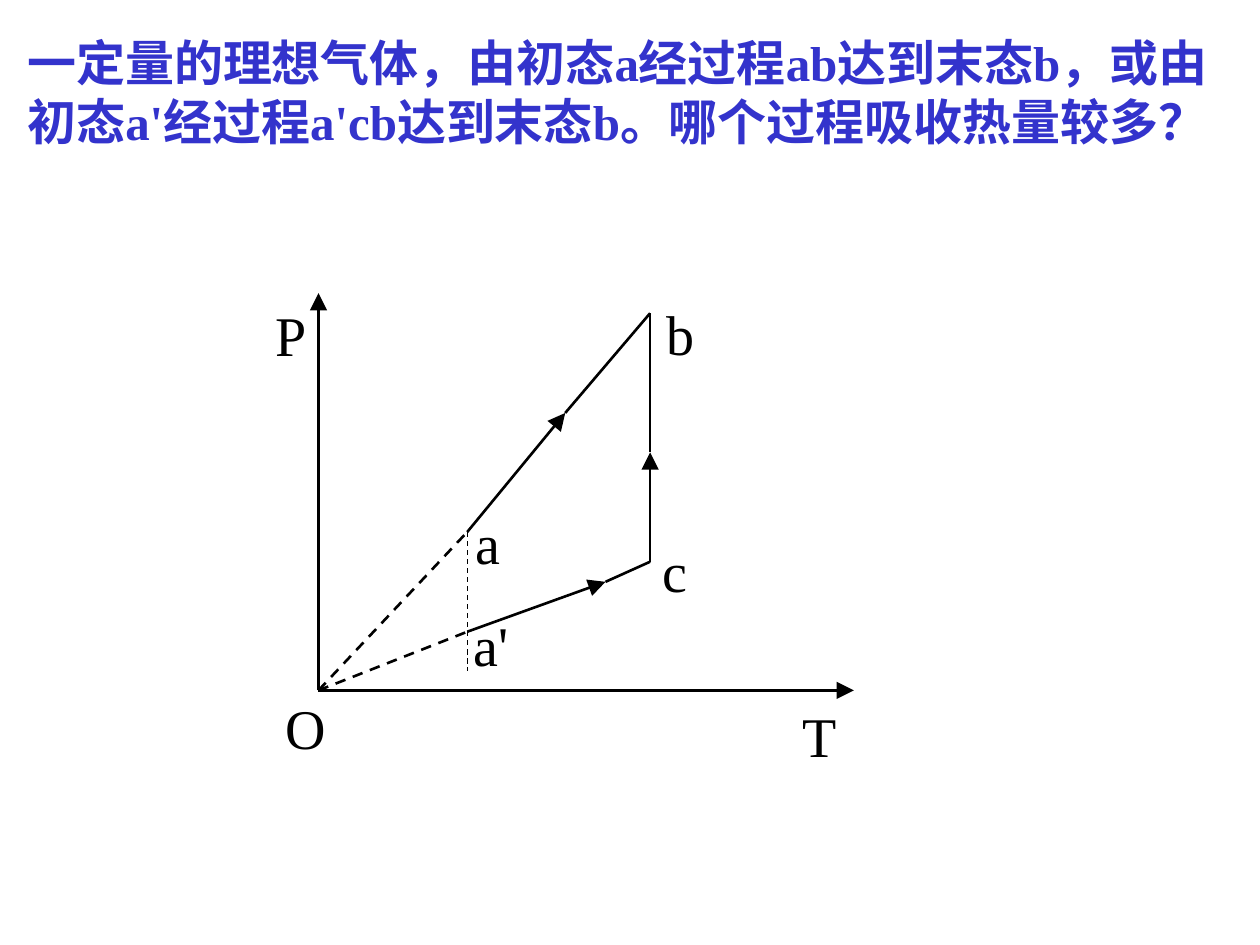
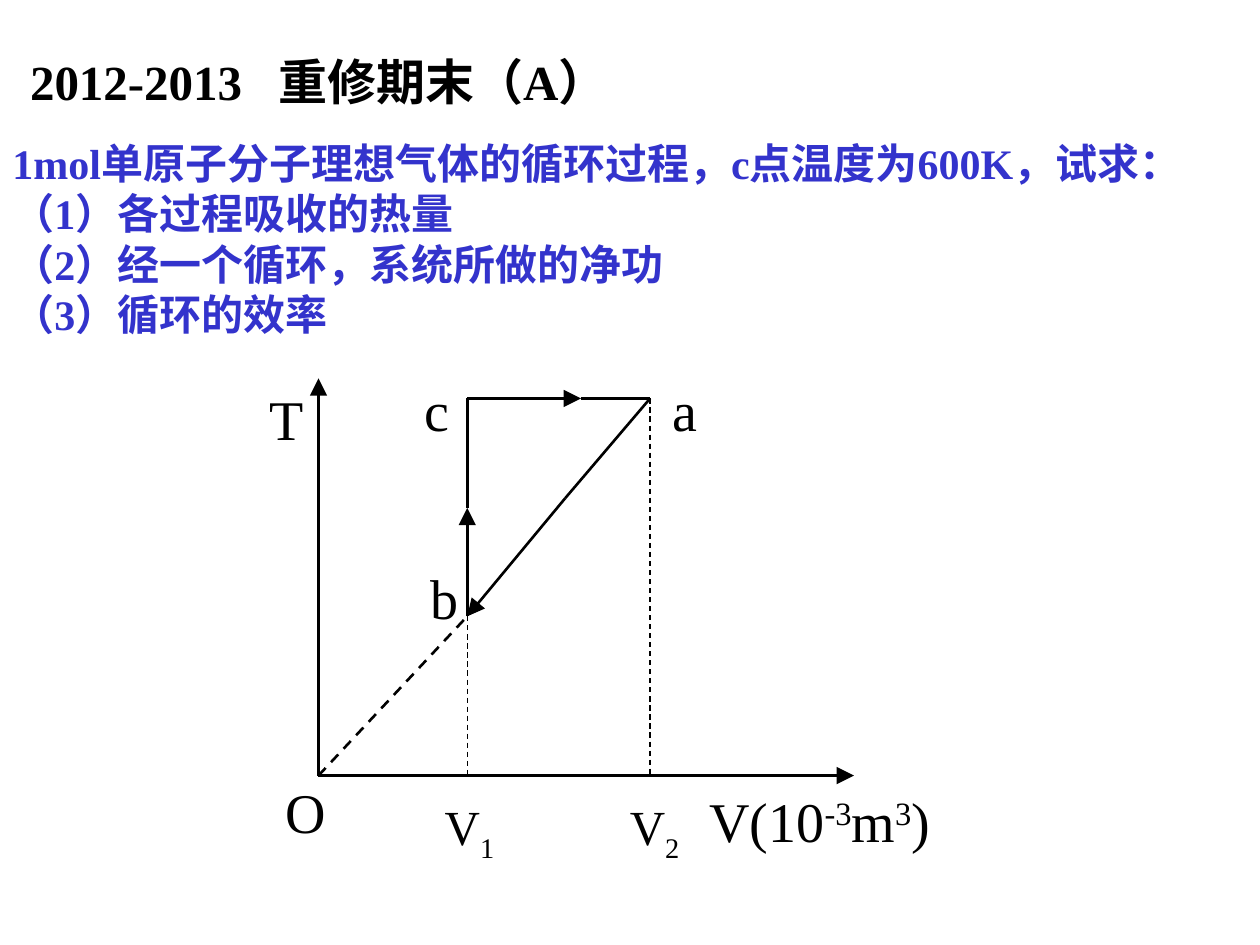
"""Builds two thermodynamics exercise slides, each with a process diagram."""
from lxml import etree
from pptx import Presentation
from pptx import util as u
from pptx.dml import color
from pptx.enum import dml, lang, shapes, text
from pptx.oxml import ns

COLORS = {"question": "3333CC", "ink": "000000"}
FONT = "Times New Roman"
ORIGIN_X = 182
SOLID, ARROW, DASH, THIN = "solid", "arrow", "dash", "thin dash"

SLIDES = [
    {
        "texts": [
            (8.6, 15.1, 692, 108,
             ["一定量的理想气体，由初态a经过程ab达到末态b，或由初态a'经过程a'cb达到末态b。哪个过程吸收热量较多？"],
             {"size": 28, "fill": "question", "bold": True, "wrap": True}),
        ],
        "origin_y": 394.5,
        "points": {
            "O": (0, 0), "T": (306, 0), "P": (0, 227),
            "a": (85, 90.5), "a'": (85, 33.5), "b": (189.5, 215.5), "c": (189.5, 73.5),
            "on ab": (141, 158.5), "on a'c": (164, 62), "on cb": (189.5, 136),
            "below a'": (85, 11),
        },
        "strokes": [
            ("O", "T", ARROW), ("O", "P", ARROW),
            ("a", "on ab", ARROW), ("on ab", "b", SOLID),
            ("a'", "on a'c", ARROW), ("on a'c", "c", SOLID),
            ("c", "on cb", ARROW), ("on cb", "b", SOLID),
            ("O", "a", DASH), ("O", "a'", DASH), ("a", "below a'", THIN),
        ],
        "labels": [
            (156.2, 392.8, 37.4, "O"), (451.4, 397.4, 33.8, "T"), (150, 168.2, 32.4, "P"),
            (264.6, 287, 28.8, "a"), (263.5, 345.3, 34.6, "a'"),
            (371.5, 302.8, 28.8, "c"), (373.7, 167.8, 30.2, "b"),
        ],
    },
    {
        "texts": [
            (0, 74.9, 711.4, 122.4,
             ["1mol单原子分子理想气体的循环过程，c点温度为600K，试求：",
              "（1）各过程吸收的热量",
              "（2）经一个循环，系统所做的净功",
              "（3）循环的效率"],
             {"size": 24, "fill": "question", "bold": True}),
            (10.1, 26.2, 400, 41, ["2012-2013\t重修期末（A）"],
             {"size": 28, "bold": True, "wrap": True, "tab": 142}),
            (247, 451.8, 42.5, 45.4, [["V", ("1", -25)]], {"size": 28, "centered": True}),
            (352.8, 451.8, 42.5, 45.4, [["V", ("2", -25)]], {"size": 28, "centered": True}),
        ],
        "origin_y": 443.2,
        "points": {
            "O": (0, 0), "V": (306, 0), "T": (0, 227),
            "a": (189.5, 215.5), "b": (85, 91), "c": (85, 215.5),
            "on ab": (141, 158.5), "on bc": (85, 153), "on ca": (150, 215.5),
            "V1": (85, 0), "V2": (189.5, 0),
        },
        "strokes": [
            ("O", "V", ARROW), ("O", "T", ARROW),
            ("a", "on ab", SOLID), ("on ab", "b", ARROW),
            ("b", "on bc", ARROW), ("on bc", "c", SOLID),
            ("c", "on ca", ARROW), ("on ca", "a", SOLID),
            ("O", "b", DASH), ("b", "V1", THIN), ("a", "V2", THIN),
        ],
        "labels": [
            (156.2, 441, 37.4, "O"),
            (398.2, 445.7, 140.4, ["V(10", ("-3", 30), "m", ("3", 30), ")"]),
            (146.9, 216.4, 33.8, "T"), (377.3, 211, 28.8, "a"),
            (235.4, 211, 28.8, "c"), (239, 318.2, 30.2, "b"),
        ],
    },
]


def add_text(slide, left, top, width, height, lines, *, size=32, fill="ink",
             bold=False, centered=False, wrap=False, tab=None):
    box = slide.shapes.add_textbox(u.Pt(left), u.Pt(top), u.Pt(width), u.Pt(height))
    frame = box.text_frame
    frame.word_wrap = wrap
    frame.auto_size = text.MSO_AUTO_SIZE.SHAPE_TO_FIT_TEXT
    for index, line in enumerate(lines):
        paragraph = frame.add_paragraph() if index else frame.paragraphs[0]
        paragraph.alignment = text.PP_ALIGN.CENTER if centered else text.PP_ALIGN.LEFT
        if tab:
            stops = etree.SubElement(paragraph._p.get_or_add_pPr(), ns.qn("a:tabLst"))
            etree.SubElement(stops, ns.qn("a:tab"), pos=str(u.Pt(tab)), algn="l")
        for part in [line] if isinstance(line, str) else line:
            content, baseline = (part, 0) if isinstance(part, str) else part
            run = paragraph.add_run()
            run.text = content
            run.font.name = FONT
            run.font.size = u.Pt(size)
            run.font.bold = bold
            run.font.color.rgb = color.RGBColor.from_string(COLORS[fill])
            run.font.language_id = lang.MSO_LANGUAGE_ID.SIMPLIFIED_CHINESE
            if baseline:
                run._r.get_or_add_rPr().set("baseline", str(baseline * 1000))


def add_stroke(slide, start, end, style):
    connector = slide.shapes.add_connector(
        shapes.MSO_CONNECTOR.STRAIGHT, *(u.Pt(value) for value in (*start, *end)))
    line = connector.line
    line.color.rgb = color.RGBColor.from_string(COLORS["ink"])
    line.width = u.Pt(0.75 if style == THIN else 1.5)
    if style in (DASH, THIN):
        line.dash_style = dml.MSO_LINE.DASH
    if style == ARROW:
        etree.SubElement(line._get_or_add_ln(), ns.qn("a:tailEnd"),
                         type="triangle", w="lg", len="lg")
    etree.SubElement(connector._element.spPr, ns.qn("a:effectLst"))


def add_diagram(slide, content):
    places = {name: (ORIGIN_X + right, content["origin_y"] - up)
              for name, (right, up) in content["points"].items()}
    for start, end, style in content["strokes"]:
        add_stroke(slide, places[start], places[end], style)
    for left, top, width, label in content["labels"]:
        add_text(slide, left, top, width, 46, [label], centered=True)


def main():
    presentation = Presentation()
    presentation.slide_width, presentation.slide_height = u.Pt(720), u.Pt(540)
    for content in SLIDES:
        slide = presentation.slides.add_slide(presentation.slide_layouts[6])
        add_diagram(slide, content)
        for *place, lines, style in content["texts"]:
            add_text(slide, *place, lines, **style)
    presentation.save("out.pptx")


if __name__ == "__main__":
    main()
